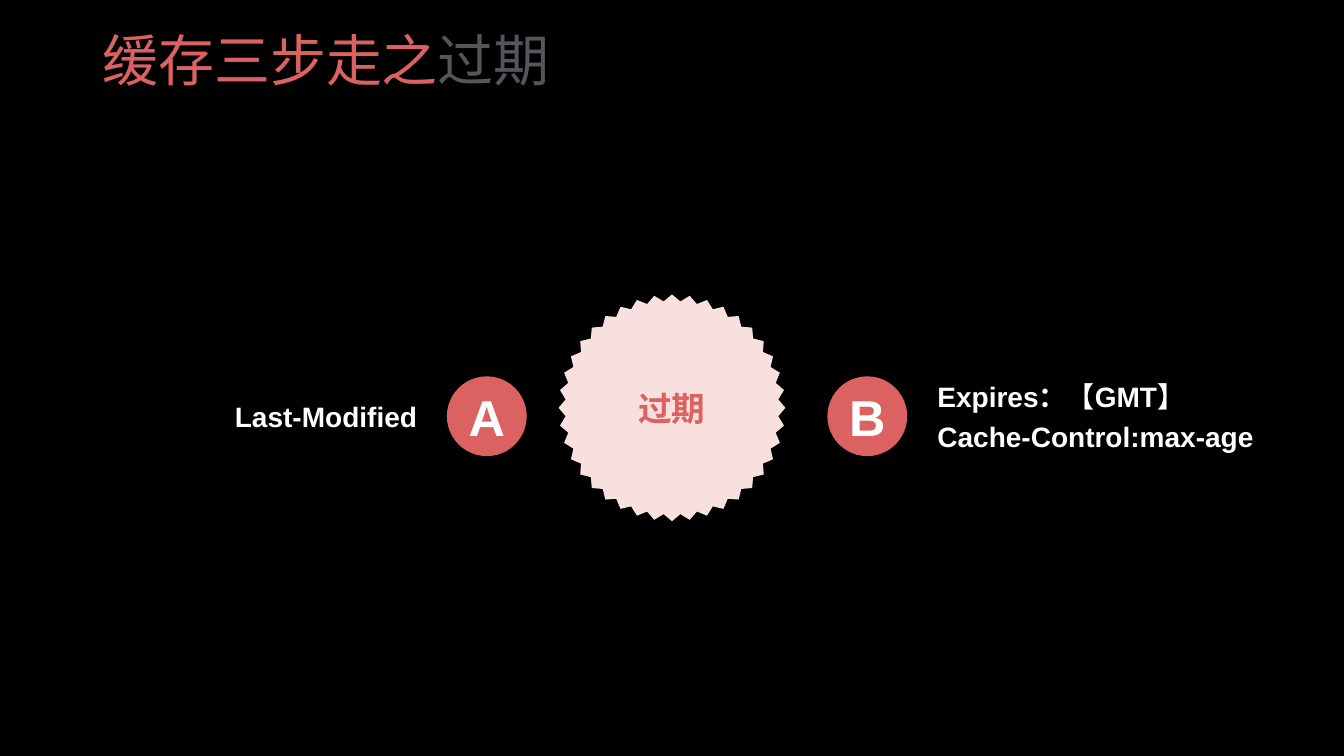
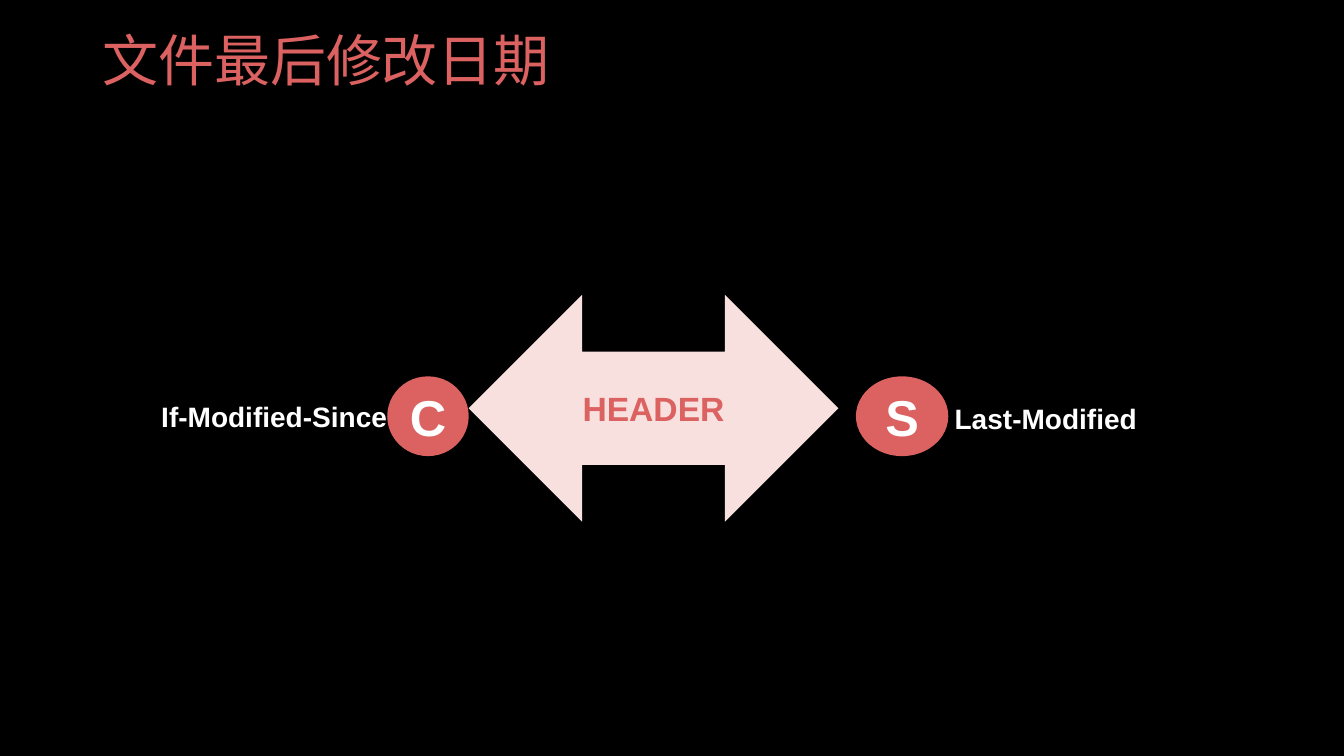
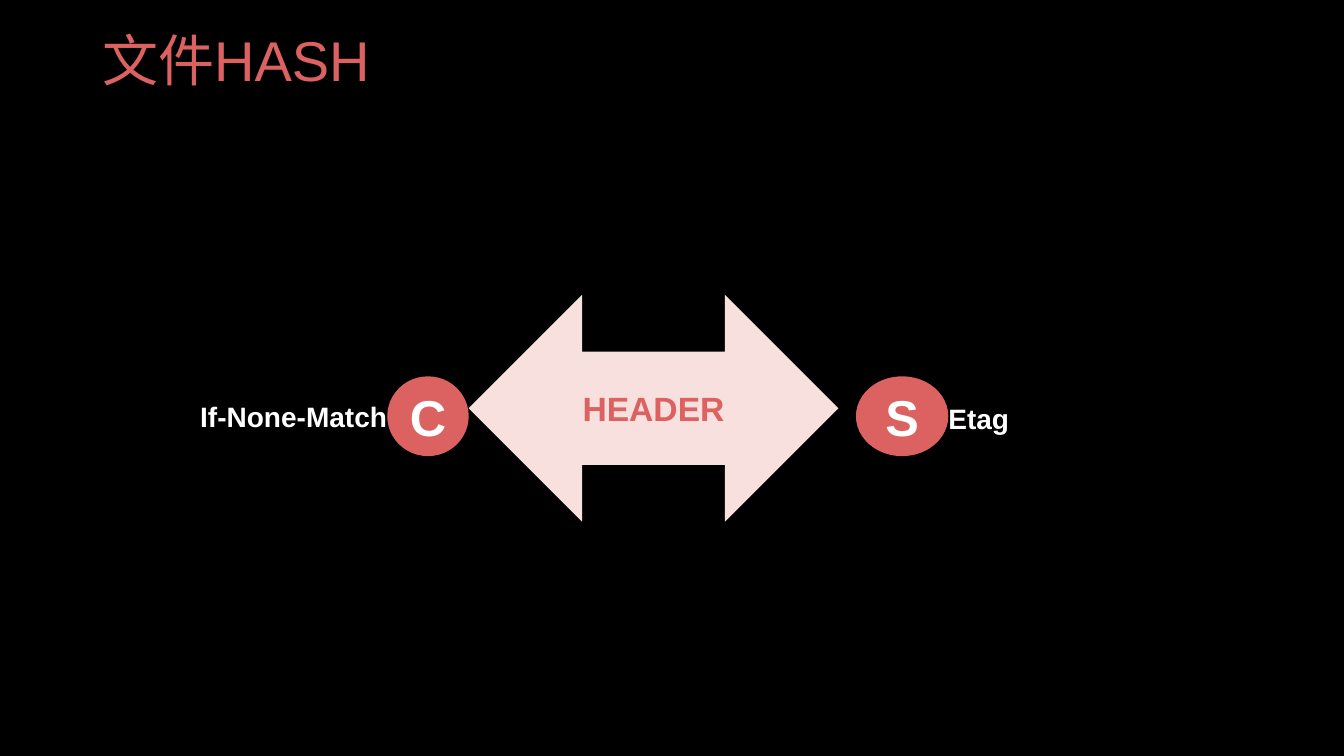
from math import cos, pi, sin

from pptx import Presentation, util as u
from pptx.dml.color import RGBColor
from pptx.enum import shapes, text

COLUMNS, ROWS = 160, 90
CELL = u.Inches(7.5) / ROWS

FONT = "Arial"
BLACK, WHITE, RED, PINK, GRAY = "000000", "FFFFFF", "DB6261", "F8E0DF", "53575C"

LEFT, CENTER, RIGHT = text.PP_ALIGN.LEFT, text.PP_ALIGN.CENTER, text.PP_ALIGN.RIGHT
MARGIN = 12
BADGE_TOP, BADGE_SIZE = 44.8, 9.5
BADGE_BOTTOM = BADGE_TOP + BADGE_SIZE


def cells(*values):
    """Turn counts of grid cells into slide lengths."""
    return [u.Emu(round(value * CELL)) for value in values]


def rgb(color):
    return RGBColor.from_string(color)


def style_paragraph(paragraph, size, color, bold=True, align=CENTER):
    paragraph.alignment = align
    for run in paragraph.runs:
        run.font.name = FONT
        run.font.size = u.Pt(size)
        run.font.bold = bold
        run.font.color.rgb = rgb(color)


def fill_shape(shape, color, caption, size, caption_color):
    shape.shadow.inherit = False
    shape.fill.solid()
    shape.fill.fore_color.rgb = rgb(color)
    shape.line.fill.background()
    frame = shape.text_frame
    frame.text = caption
    frame.vertical_anchor = text.MSO_ANCHOR.MIDDLE
    style_paragraph(frame.paragraphs[0], size, caption_color)


def add_text_frame(slide, *box):
    frame = slide.shapes.add_textbox(*cells(*box)).text_frame
    frame.word_wrap = True
    frame.vertical_anchor = text.MSO_ANCHOR.MIDDLE
    return frame


def add_title(slide, title, ending=""):
    """Add the title; its ending, if any, is gray."""
    frame = add_text_frame(slide, 11, 0.5, 138, 14)
    paragraph = frame.paragraphs[0]
    for part in filter(None, (title, ending)):
        paragraph.add_run().text = part
    paragraph.line_spacing = 0.9
    style_paragraph(paragraph, 40, RED, bold=False, align=LEFT)
    if ending:
        paragraph.runs[-1].font.color.rgb = rgb(GRAY)


def add_badge(slide, letter, left, width=BADGE_SIZE):
    badge = slide.shapes.add_shape(
        shapes.MSO_SHAPE.OVAL, *cells(left, BADGE_TOP, width, BADGE_SIZE))
    fill_shape(badge, RED, letter, 36, WHITE)


def add_label(slide, lines, left, width, align=LEFT, top=BADGE_TOP):
    frame = add_text_frame(slide, left, top, width, BADGE_BOTTOM - top)
    frame.margin_left = frame.margin_right = 0
    frame.margin_top = frame.margin_bottom = 0
    frame.text = lines
    for paragraph in frame.paragraphs:
        paragraph.space_before = u.Pt(4)
        style_paragraph(paragraph, 20, WHITE, align=align)


def add_seal(slide, caption, center_x=80, center_y=48.55, teeth=40):
    """Add a disc with a toothed edge."""
    radii = (13.5, 12.7)
    points = []
    for index in range(2 * teeth):
        angle, radius = index * pi / teeth, radii[index % 2]
        points.append(cells(center_x + radius * cos(angle),
                            center_y + radius * sin(angle)))
    builder = slide.shapes.build_freeform(*points[0])
    builder.add_line_segments(points[1:], close=True)
    fill_shape(builder.convert_to_shape(), PINK, caption, 24, RED)


def add_expiry_slide(slide):
    label_width = 38.6
    add_title(slide, "缓存三步走之", "过期")
    add_seal(slide, "过期")
    add_badge(slide, "A", 53.2)
    add_label(slide, "Last-Modified ", MARGIN, label_width, RIGHT)
    add_badge(slide, "B", 98.5)
    add_label(slide, "Expires：【GMT】\nCache-Control:max-age", 111.6, label_width)


def add_header_slide(slide, title, request, response, response_gap=0):
    """Show the header the client (C) sends and the one the server (S) returns."""
    arrow_left, client_width = 55.8, 9.7
    client_left = arrow_left - client_width
    server_left, server_width = 101.9, 11
    add_title(slide, title)
    arrow = slide.shapes.add_shape(
        shapes.MSO_SHAPE.LEFT_RIGHT_ARROW, *cells(arrow_left, 35.1, 44, 27))
    fill_shape(arrow, PINK, "HEADER", 24, RED)
    add_badge(slide, "C", client_left, client_width)
    add_label(slide, request, MARGIN, client_left - MARGIN, RIGHT)
    add_badge(slide, "S", server_left, server_width)
    add_label(slide, response, server_left + server_width + response_gap, 36.6,
              top=45.4)


def main():
    presentation = Presentation()
    presentation.slide_width, presentation.slide_height = cells(COLUMNS, ROWS)
    background = presentation.slide_master.background.fill
    background.solid()
    background.fore_color.rgb = rgb(BLACK)
    blank = presentation.slide_layouts[6]
    expiry, modified, hashed = (
        presentation.slides.add_slide(blank) for _ in range(3))

    add_expiry_slide(expiry)
    add_header_slide(modified, "文件最后修改日期", "If-Modified-Since",
                     "Last-Modified", response_gap=0.75)
    add_header_slide(hashed, "文件HASH", "If-None-Match", "Etag")
    presentation.save("out.pptx")


if __name__ == "__main__":
    main()
